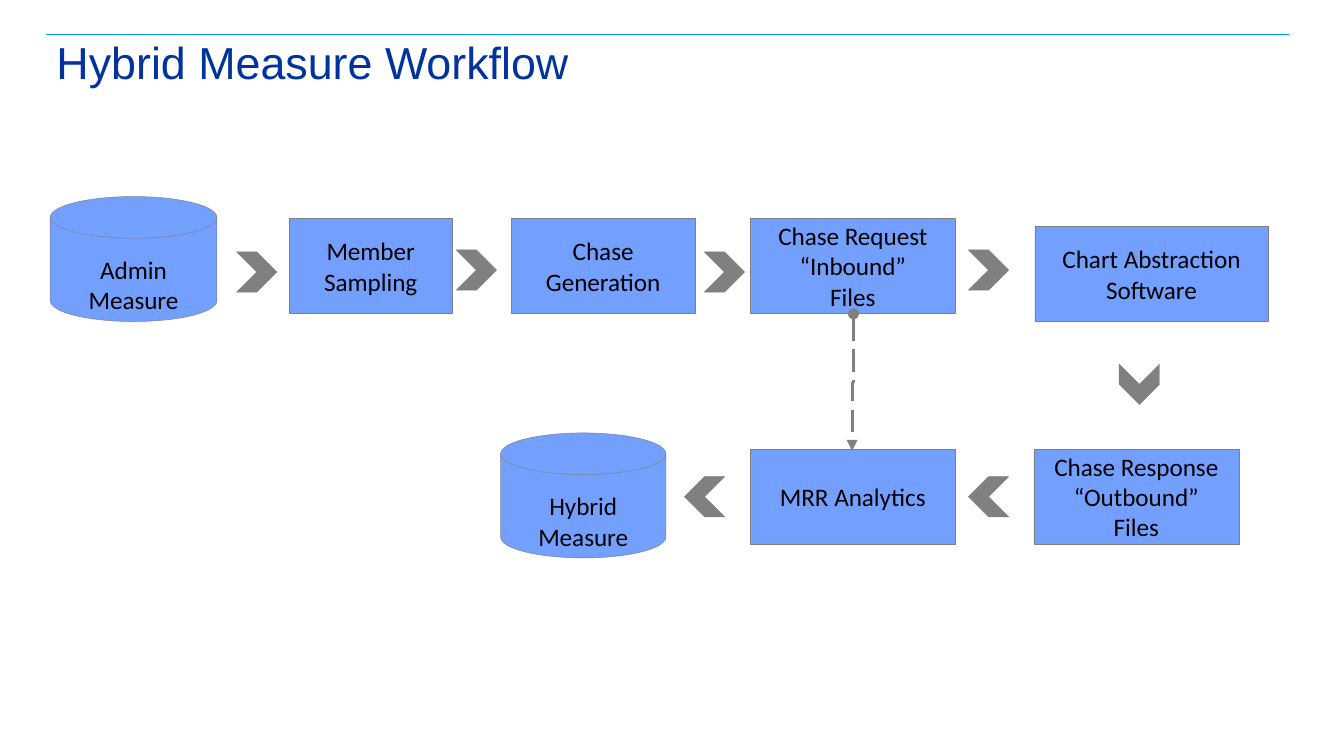
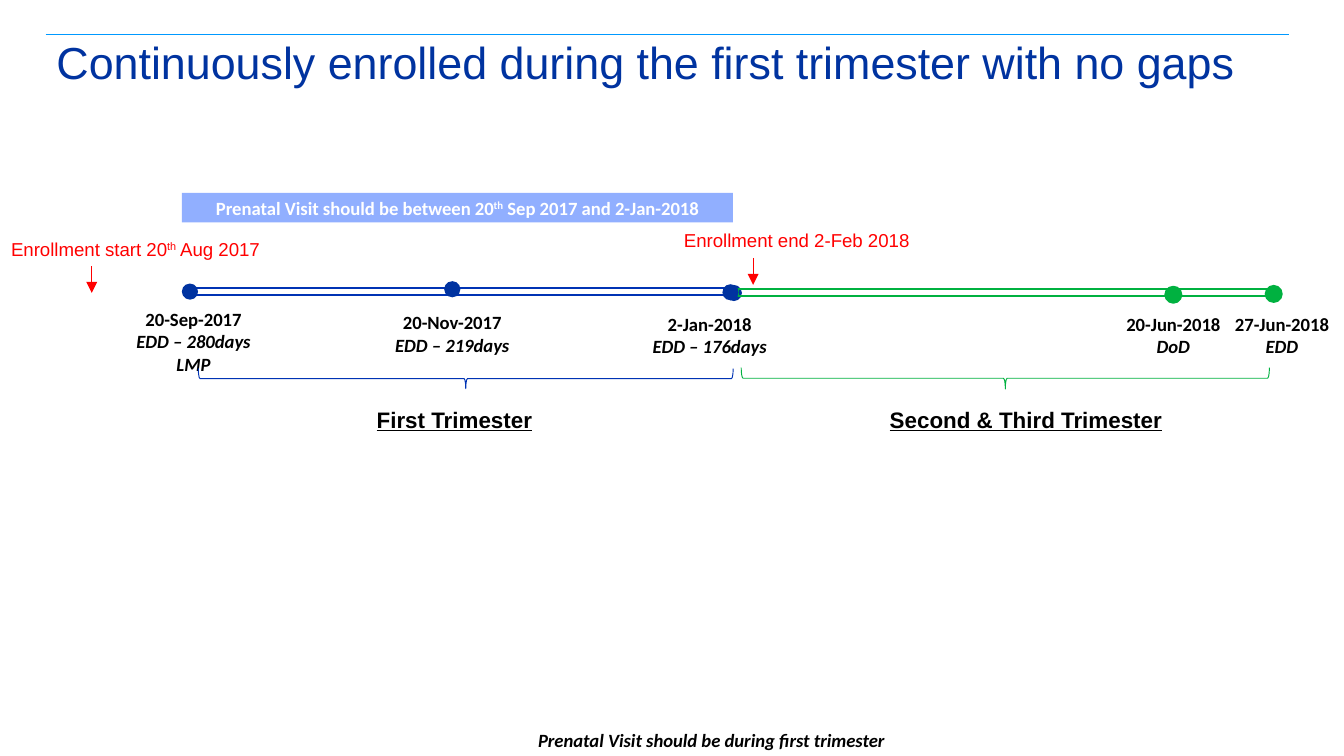
from dataclasses import dataclass
from typing import NamedTuple

import pptx
import pptx.dml.color
import pptx.enum.dml
import pptx.enum.shapes
import pptx.enum.text
import pptx.oxml
import pptx.oxml.ns
import pptx.util

# Grid: 100 columns by 56.25 rows of square cells
COLUMNS, ROWS = 100, 56.25
CELL = pptx.util.Inches(0.1)

COLORS = {
    "title": "0033A0", "rule": "0099FF", "step": "73A0FF", "grey": "808080",
    "black": "000000", "white": "FFFFFF", "red": "FF0000",
    "blue": "0033B4", "green": "00B140", "banner": "91AFFF",
}
SHAPE = pptx.enum.shapes.MSO_SHAPE
CONNECTOR = pptx.enum.shapes.MSO_CONNECTOR
ALIGN = pptx.enum.text.PP_ALIGN
ANCHOR = pptx.enum.text.MSO_ANCHOR


class Area(NamedTuple):
    left: float
    top: float
    width: float
    height: float


@dataclass
class Step:
    lines: list[str]
    area: Area
    is_store: bool = False


@dataclass
class Chevron:
    left: float
    top: float
    rotation: int = 0


@dataclass
class Milestone:
    lines: list[str]
    area: Area


@dataclass
class Dot:
    left: float
    top: float
    color: str
    outline: str | None = None


@dataclass
class Trimester:
    name: str
    name_area: Area
    brace: Area
    color: str


@dataclass
class Enrollment:
    text: str
    area: Area
    arrow_column: float
    arrow_top: float


def cells(count: float) -> int:
    return round(count * CELL)


def rgb(name: str) -> pptx.dml.color.RGBColor:
    return pptx.dml.color.RGBColor.from_string(COLORS[name])


# Text: parts between ^ marks are raised
def write_text(shape, lines: list[str], *, size: float, font="Calibri", color="black",
               bold=False, underline=False, italic_from=99, align=ALIGN.CENTER,
               anchor=ANCHOR.MIDDLE, spacing=None, inset=None, top_inset=None,
               wrap=True) -> None:
    frame = shape.text_frame
    frame.word_wrap = wrap
    frame.vertical_anchor = anchor
    if not wrap:
        frame.auto_size = pptx.enum.text.MSO_AUTO_SIZE.SHAPE_TO_FIT_TEXT
    if inset is not None:
        frame.margin_left = frame.margin_right = cells(inset)
        frame.margin_top = frame.margin_bottom = cells(inset)
    if top_inset is not None:
        frame.margin_top = cells(top_inset)
    for number, line in enumerate(lines):
        paragraph = frame.paragraphs[0] if number == 0 else frame.add_paragraph()
        paragraph.alignment = align
        if spacing:
            paragraph.line_spacing = spacing
        for part, text in enumerate(line.split("^")):
            run = paragraph.add_run()
            run.text = text
            run.font.name = font
            run.font.size = pptx.util.Pt(size)
            run.font.bold = bold
            run.font.italic = number >= italic_from
            run.font.underline = underline
            run.font.color.rgb = rgb(color)
            if part % 2:
                run._r.get_or_add_rPr().set("baseline", "30000")


def add_text(slide, area: Area, lines: list[str], **text_format) -> None:
    write_text(slide.shapes.add_textbox(*map(cells, area)), lines, **text_format)


def add_figure(slide, kind, area: Area, *, fill: str | None = None,
               line: str | None = None, width: float = 0.25, rotation: int = 0):
    figure = slide.shapes.add_shape(kind, *map(cells, area))
    figure.shadow.inherit = False
    figure.rotation = rotation
    if fill:
        figure.fill.solid()
        figure.fill.fore_color.rgb = rgb(fill)
    else:
        figure.fill.background()
    if line:
        figure.line.color.rgb = rgb(line)
        figure.line.width = pptx.util.Pt(width)
    else:
        figure.line.fill.background()
    return figure


def add_line(slide, start: tuple[float, float], end: tuple[float, float], color: str,
             width: float, *, kind=CONNECTOR.STRAIGHT, dash=None,
             head: str | None = None, tail: str | None = None):
    line = slide.shapes.add_connector(kind, *map(cells, (*start, *end)))
    line.line.color.rgb = rgb(color)
    line.line.width = pptx.util.Pt(width)
    if dash:
        line.line.dash_style = dash
    properties = line._element.spPr
    outline = line.line._get_or_add_ln()
    for tag, arrow in (("a:headEnd", head), ("a:tailEnd", tail)):
        if arrow:
            end_mark = pptx.oxml.parse_xml(f"<{tag} {pptx.oxml.ns.nsdecls('a')}/>")
            end_mark.set("type", arrow)
            outline.append(end_mark)
    properties.append(pptx.oxml.parse_xml(f"<a:effectLst {pptx.oxml.ns.nsdecls('a')}/>"))
    return line


def add_titled_slide(deck, title: str):
    slide = deck.slides.add_slide(deck.slide_layouts[6])
    add_line(slide, (3.4, 2.6), (95.9, 2.6), "rule", 0.5)
    add_text(slide, Area(4.2, 3.05, 91.7, 8.7), [title], size=24, font="Arial",
             color="title", align=ALIGN.LEFT, anchor=ANCHOR.TOP, spacing=0.9, inset=0)
    return slide


# Workflow content
UPPER, LOWER, STEP_HEIGHT = 16.25, 33.42, 7.05
CHEVRON_SIZE = 3
STEPS = [
    Step(["Admin", "Measure"], Area(3.74, 14.63, 12.4, 9.3), is_store=True),
    Step(["Member Sampling"], Area(21.53, UPPER, 12.1, STEP_HEIGHT)),
    Step(["Chase Generation"], Area(38.03, UPPER, 13.7, STEP_HEIGHT)),
    Step(["Chase Request", "“Inbound”", "Files"], Area(55.83, UPPER, 15.25, STEP_HEIGHT)),
    Step(["Chart Abstraction Software"], Area(77, 16.86, 17.35, STEP_HEIGHT)),
    Step(["Chase Response", "“Outbound”", "Files"],
         Area(76.93, LOWER, 15.25, STEP_HEIGHT)),
    Step(["MRR Analytics"], Area(55.83, LOWER, 15.25, STEP_HEIGHT)),
    Step(["Hybrid", "Measure"], Area(37.25, 32.22, 12.3, 9.3), is_store=True),
]
CHEVRONS = [
    Chevron(17.6, 18.74), Chevron(33.95, 18.6), Chevron(52.4, 18.74), Chevron(72.05, 18.6),
    Chevron(83.27, 27.1, 90), Chevron(72.05, 35.46, 180), Chevron(50.92, 35.46, 180),
]


def build_workflow(deck) -> None:
    slide = add_titled_slide(deck, "Hybrid Measure Workflow")
    for step in STEPS:
        kind = SHAPE.FLOWCHART_MAGNETIC_DISK if step.is_store else SHAPE.RECTANGLE
        box = add_figure(slide, kind, step.area, fill="step", line="grey")
        placing = {"anchor": ANCHOR.TOP, "top_inset": 1.2} if step.is_store else {}
        write_text(box, step.lines, size=13.5, **placing)
    for chevron in CHEVRONS:
        add_figure(slide, SHAPE.CHEVRON,
                   Area(chevron.left, chevron.top, CHEVRON_SIZE, CHEVRON_SIZE),
                   fill="grey", line="grey", rotation=chevron.rotation)
    # Dashed link from the inbound files down to the analytics, turned a quarter
    link = add_line(slide, (58.35, 28.4), (68.55, 28.5), "grey", 1.5, kind=CONNECTOR.ELBOW,
                    dash=pptx.enum.dml.MSO_LINE.LONG_DASH, head="oval", tail="triangle")
    link._element.spPr.xfrm.set("rot", str(90 * 60000))


# Timeline content
DOT_SIZE = 1.2
MILESTONES = [
    Milestone(["20-Sep-2017", "EDD – 280days", "LMP"], Area(10.1, 22.9, 8.6, 5)),
    Milestone(["20-Nov-2017", "EDD – 219days"], Area(29.35, 23.15, 8.6, 3.4)),
    Milestone(["2-Jan-2018", "EDD – 176days"], Area(48.5, 23.25, 8.6, 3.4)),
    Milestone(["20-Jun-2018", "DoD"], Area(83.75, 23.25, 7.1, 3.4)),
    Milestone(["27-Jun-2018", "EDD"], Area(91.83, 23.25, 7.1, 3.4)),
]
FIRST_DOTS = [Dot(13.53, 21.1, "title"), Dot(33.05, 20.92, "title"), Dot(54, 21.2, "title")]
LATER_DOTS = [Dot(53.75, 21.15, "title"), Dot(86.7, 21.33, "green", "green"),
              Dot(94.17, 21.27, "green", "green")]
PERIODS = [
    (Area(13.8, 21.43, 40.8, 0.5), "blue", FIRST_DOTS),
    (Area(54.9, 21.5, 39.8, 0.5), "green", LATER_DOTS),
]
TRIMESTERS = [
    Trimester("First Trimester", Area(28.03, 30.2, 11.7, 2),
              Area(33.9, 8.27, 1.5, 39.8), "blue"),
    Trimester("Second & Third Trimester", Area(66.2, 30.2, 20.5, 2),
              Area(74, 8.5, 1.6, 39.3), "green"),
]
ENROLLMENTS = [
    Enrollment("Enrollment start 20^th^ Aug 2017", Area(-3.77, 17.2, 27.7, 2.6), 6.83, 19.8),
    Enrollment("Enrollment end 2-Feb 2018", Area(45.42, 16.6, 27.7, 2.6), 56.04, 19.2),
]


def build_timeline(deck) -> None:
    slide = add_titled_slide(
        deck, "Continuously enrolled during the first trimester with no gaps")
    for bar, color, dots in PERIODS:
        add_figure(slide, SHAPE.RECTANGLE, bar, line=color, width=1)
        for dot in dots:
            add_figure(slide, SHAPE.OVAL, Area(dot.left, dot.top, DOT_SIZE, DOT_SIZE),
                       fill=dot.color, line=dot.outline, width=1)
    tight = {"inset": 0, "wrap": False, "anchor": ANCHOR.TOP, "bold": True}
    for milestone in MILESTONES:
        add_text(slide, milestone.area, milestone.lines, size=10, italic_from=1, **tight)
    for trimester in TRIMESTERS:
        add_figure(slide, SHAPE.RIGHT_BRACE, trimester.brace, line=trimester.color,
                   width=0.5, rotation=90)
        add_text(slide, trimester.name_area, [trimester.name], size=12, font="Arial",
                 underline=True, align=ALIGN.LEFT, **tight)
    for enrollment in ENROLLMENTS:
        add_text(slide, enrollment.area, [enrollment.text], size=10, font="Arial", color="red")
        add_line(slide, (enrollment.arrow_column, enrollment.arrow_top),
                 (enrollment.arrow_column, enrollment.arrow_top + 2), "red", 0.5,
                 tail="triangle")
    # Visit window and closing remark
    visit_window = add_figure(slide, SHAPE.RECTANGLE, Area(13.53, 14.35, 41, 2.2),
                              fill="banner")
    write_text(visit_window, ["Prenatal Visit should be between 20^th^ Sep 2017 and 2-Jan-2018"],
               size=10, color="white", bold=True)
    add_text(slide, Area(40.03, 54.25, 26.2, 1.7),
             ["Prenatal Visit should be during first trimester"],
             size=10, italic_from=0, align=ALIGN.LEFT, **tight)


def main() -> None:
    deck = pptx.Presentation()
    deck.slide_width, deck.slide_height = cells(COLUMNS), cells(ROWS)
    build_workflow(deck)
    build_timeline(deck)
    deck.save("out.pptx")


if __name__ == "__main__":
    main()
